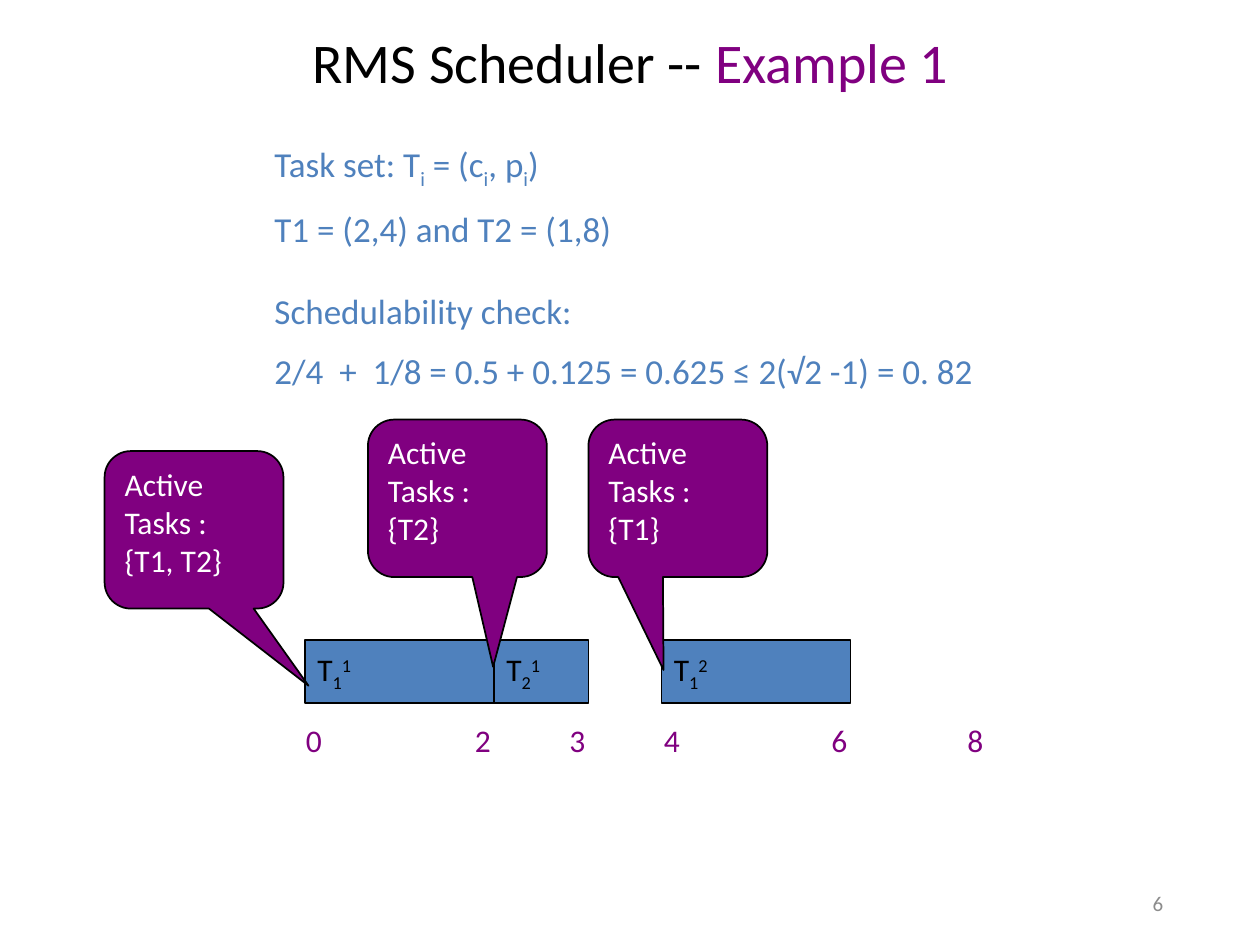
from dataclasses import dataclass

from pptx import Presentation
from pptx.dml.color import RGBColor
from pptx.enum.shapes import MSO_SHAPE
from pptx.enum.text import MSO_ANCHOR, PP_ALIGN
from pptx.util import Inches, Pt

RECTANGLE = MSO_SHAPE.RECTANGLE
CALLOUT = MSO_SHAPE.ROUNDED_RECTANGULAR_CALLOUT
TOP, MIDDLE = MSO_ANCHOR.TOP, MSO_ANCHOR.MIDDLE
LEFT, CENTER, RIGHT = PP_ALIGN.LEFT, PP_ALIGN.CENTER, PP_ALIGN.RIGHT
SUB, SUPER = "-25000", "30000"


@dataclass
class Theme:
    font: str = "Calibri"
    black: RGBColor = RGBColor(0, 0, 0)
    white: RGBColor = RGBColor(255, 255, 255)
    blue: RGBColor = RGBColor(0x4F, 0x81, 0xBD)
    purple: RGBColor = RGBColor(0x80, 0, 0x80)
    gray: RGBColor = RGBColor(0x8C, 0x8C, 0x8C)
    title: int = 32
    body: int = 20
    label: int = 18
    number: int = 12


theme = Theme()
deck = Presentation()
deck.slide_width, deck.slide_height = Inches(10), Inches(7.5)
page = deck.slides.add_slide(deck.slide_layouts[6])


def write(shape, lines, size, color, align=LEFT, anchor=TOP, gap=0):
    """Fill a shape with lines; each line is a list of (text, baseline) spans."""
    frame = shape.text_frame
    frame.word_wrap = True
    frame.vertical_anchor = anchor
    for index, spans in enumerate(lines):
        para = frame.add_paragraph() if index else frame.paragraphs[0]
        para.alignment = align
        para.space_before = Pt(gap if index else 0)
        for text, baseline in spans:
            span = para.add_run()
            span.text = text
            span.font.name = theme.font
            span.font.size = Pt(size)
            span.font.color.rgb = color
            if baseline:
                span.font._element.set("baseline", baseline)
    return frame


def add_block(kind, left, top, width, height, fill):
    """Add a filled shape with a thin black outline."""
    block = page.shapes.add_shape(kind, Inches(left), Inches(top), Inches(width), Inches(height))
    block.shadow.inherit = False
    block.fill.solid()
    block.fill.fore_color.rgb = fill
    block.line.color.rgb = theme.black
    block.line.width = Pt(1)
    return block


# Page number
box = page.shapes.add_textbox(Inches(8.25), Inches(7), Inches(1.08), Inches(0.33))
write(box, [[("6", None)]], theme.number, theme.gray, RIGHT, MIDDLE)

# Title
box = page.shapes.add_textbox(Inches(0.67), Inches(0.17), Inches(8.67), Inches(0.58))
title = write(box, [[("RMS Scheduler -- ", None), ("Example 1", None)]],
              theme.title, theme.black, CENTER)
title.paragraphs[0].runs[1].font.color.rgb = theme.purple

# Task set and schedulability check
task_set = [
    [("Task set: T", None), ("i", SUB), (" = (c", None), ("i", SUB),
     (", p", None), ("i", SUB), (")", None)],
    [("T1 = (2,4) and T2 = (1,8)", None)],
]
check = [
    [("Schedulability check:", None)],
    [("2/4  +  1/8 = 0.5 + 0.125 = 0.625 ≤ 2(√2 -1) = 0. 82", None)],
]
for top, width, lines in [(1.08, 6.83, task_set), (2.25, 6.75, check)]:
    box = page.shapes.add_textbox(Inches(2.08), Inches(top), Inches(width), Inches(0.95))
    write(box, lines, theme.body, theme.blue, gap=theme.body / 2)

# Executed jobs: left, width, task, instance
for left, width, task, instance in [(2.42, 1.5, "1", "1"), (3.92, 0.75, "2", "1"),
                                    (5.25, 1.5, "1", "2")]:
    bar = add_block(RECTANGLE, left, 5.08, width, 0.5, theme.blue)
    write(bar, [[("T", None), (task, SUB), (instance, SUPER)]],
          theme.label, theme.black, anchor=MIDDLE)

# Time labels
for time, left in [("0", 2.33), ("2", 3.67), ("3", 4.42), ("4", 5.17), ("6", 6.5), ("8", 7.58)]:
    box = page.shapes.add_textbox(Inches(left), Inches(5.67), Inches(0.42), Inches(0.37))
    write(box, [[(time, None)]], theme.label, theme.purple)

# Callouts: left, top, pointer tip, active tasks
for left, top, tip, tasks in [(0.83, 3.58, (0.64, 0.99), "{T1, T2}"),
                              (2.92, 3.33, (0.2, 1.07), "{T2}"),
                              (4.67, 3.33, (-0.08, 1.09), "{T1}")]:
    callout = add_block(CALLOUT, left, top, 1.42, 1.25, theme.purple)
    callout.adjustments[0], callout.adjustments[1] = tip
    write(callout, [[("Active Tasks :", None)], [(tasks, None)]], theme.label, theme.white)

deck.save("out.pptx")
